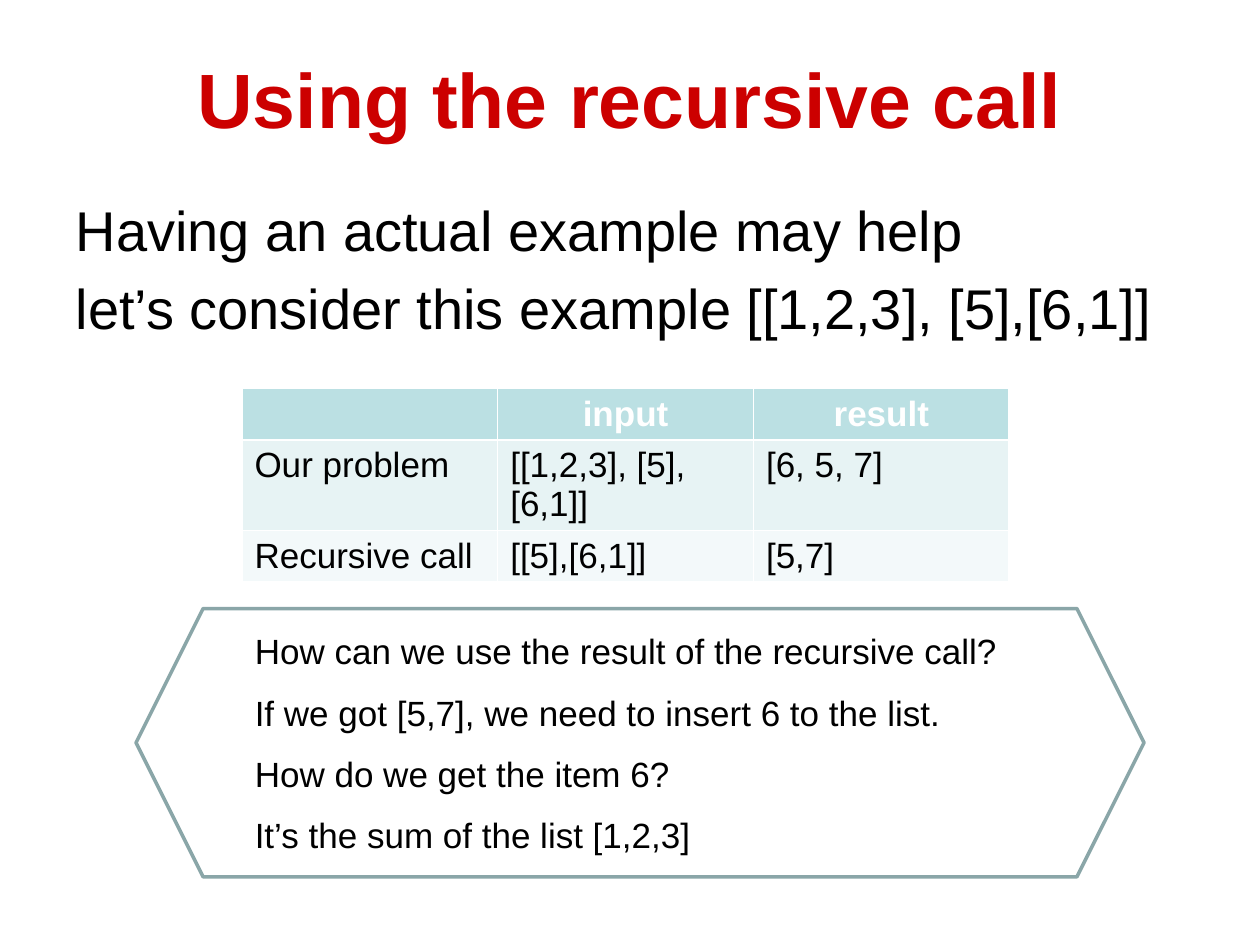
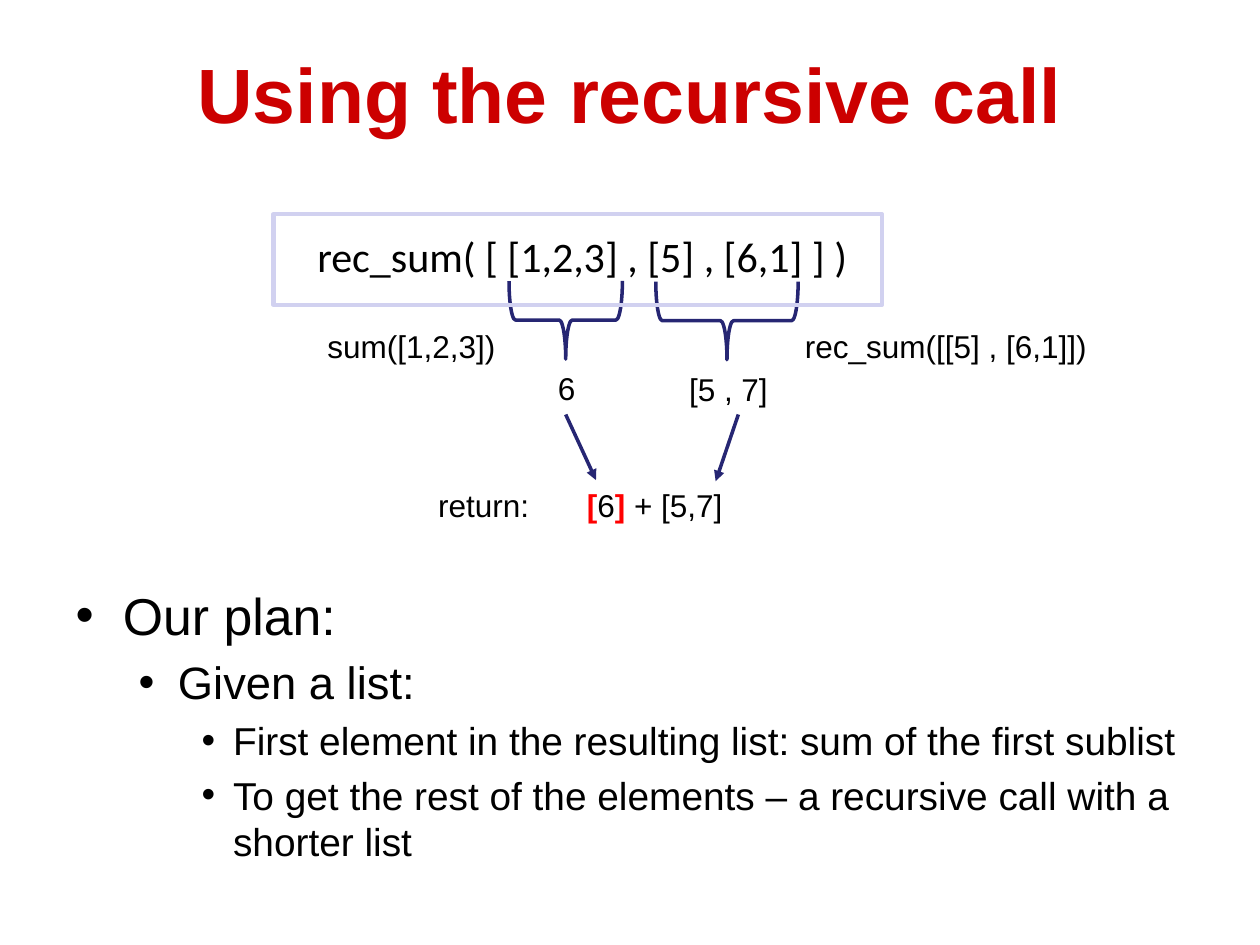
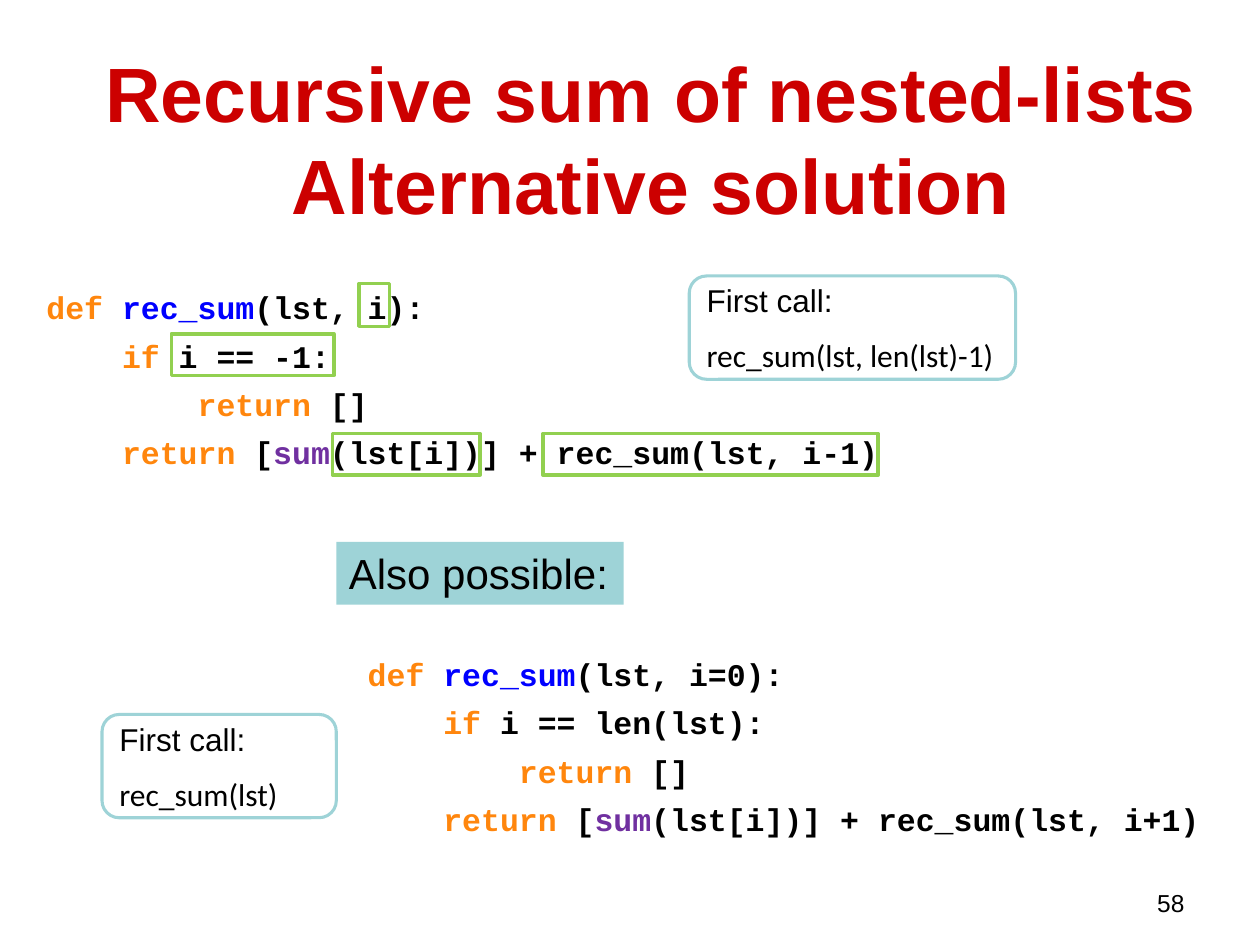
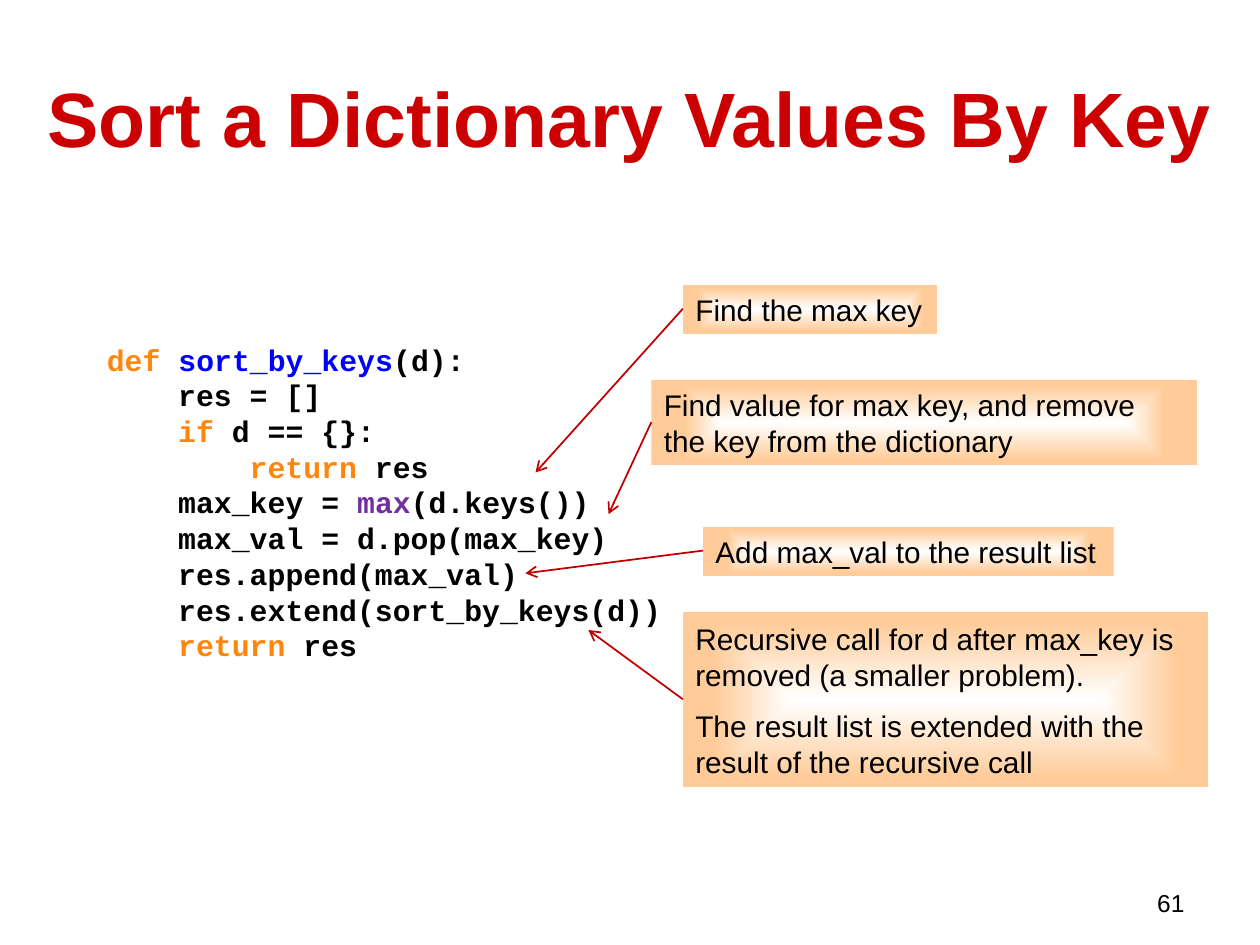
"""Build four slides on recursive list and dictionary functions."""
import lxml.etree
import pptx
import pptx.dml.color
import pptx.enum.shapes
import pptx.enum.text
import pptx.oxml.ns
import pptx.util

Inches, Pt = pptx.util.Inches, pptx.util.Pt
Color = pptx.dml.color.RGBColor.from_string
qualified = pptx.oxml.ns.qn
Preset = pptx.enum.shapes.MSO_SHAPE
Anchor = pptx.enum.text.MSO_ANCHOR
Align = pptx.enum.text.PP_ALIGN

THEME = {
    "title": "CC0000", "text": "000000", "white": "FFFFFF", "header": "BBE0E3",
    "rows": ["E7F3F4", "F3F9FA"], "hexagon": "8AA6A8", "navy": "262673",
    "frame": "D1D1F0", "highlight": "92D050", "teal": "9ED3D7",
    "orange": "FFCC99", "arrow": "C00000",
    "font": "Arial", "call_font": "Calibri", "code_font": "Courier New",
    "title_size": 44, "body_size": 32, "plan_sizes": [29.6, 25.9, 22.2],
    "large": 24, "medium": 20, "label": 18, "note": 17, "number": 14,
    "accents": {
        "def ": "FF860D", "if ": "FF860D", "return": "FF860D",
        "rec_sum": "0000FF", "sort_by_keys": "0000FF",
        "sum": "7030A0", "max": "7030A0", "[": "FF0000", "]": "FF0000",
    },
}


def add_box(slide, preset, bounds, line=None, width=2, fill=None):
    """Add a preset shape, or a text box when preset is None."""
    lengths = [Inches(value) for value in bounds]
    if preset is None:
        return slide.shapes.add_textbox(*lengths)
    shape = slide.shapes.add_shape(preset, *lengths)
    shape.shadow.inherit = False
    if fill:
        shape.fill.solid()
        shape.fill.fore_color.rgb = Color(fill)
    else:
        shape.fill.background()
    if line:
        shape.line.color.rgb = Color(line)
        shape.line.width = Pt(width)
    else:
        shape.line.fill.background()
    return shape


def write_text(frame, lines, size, font=THEME["font"], color=THEME["text"], bold=False,
               align=Align.LEFT, anchor=Anchor.TOP, wrap=True, gap=None):
    """Write lines whose runs are split by bars and whose tabs give the depth."""
    settings = {"word_wrap": wrap, "auto_size": pptx.enum.text.MSO_AUTO_SIZE.NONE,
                "vertical_anchor": anchor}
    for name, value in settings.items():
        setattr(frame, name, value)
    for index, line in enumerate(lines):
        paragraph = frame.add_paragraph() if index else frame.paragraphs[0]
        paragraph.alignment = align
        if index and gap is not None:
            paragraph.space_before = Pt(gap)
        text = line.lstrip("\t")
        depth = len(line) - len(text)
        if depth:
            paragraph._p.get_or_add_pPr().set("marL", str(Pt(depth * 4 * 0.6 * size)))
        for token in text.split("|"):
            run = paragraph.add_run()
            run.text = token
            accent = THEME["accents"].get(token)
            run.font.color.rgb = Color(accent or color)
            values = {"name": font, "size": Pt(size), "bold": bold or accent is not None}
            for name, value in values.items():
                setattr(run.font, name, value)


presentation = pptx.Presentation()
presentation.slide_width, presentation.slide_height = Inches(10), Inches(7.5)

slides = []
for layout, title, bounds in [
    (1, "Using the recursive call", (0.5, 0.3, 9, 0.95)),
    (1, "Using the recursive call", (0.5, 0.3, 9, 0.87)),
    (5, "Recursive sum of nested-lists Alternative solution", (0.67, 0.47, 9, 1.25)),
    (5, "Sort a Dictionary Values By Key", (0.25, 0.3, 9.5, 1.25)),
]:
    slide = presentation.slides.add_slide(presentation.slide_layouts[layout])
    shape = slide.shapes.title
    shape.left, shape.top, shape.width, shape.height = map(Inches, bounds)
    write_text(shape.text_frame, [title], THEME["title_size"], color=THEME["title"],
               bold=True, align=Align.CENTER, anchor=Anchor.MIDDLE)
    slides.append(slide)
example_slide, plan_slide, nested_slide, dictionary_slide = slides

for slide, bounds, lines, size in [
    (example_slide, (0.5, 1.5, 9, 1.3),
     ["Having an actual example may help",
      "let’s consider this example [[1,2,3], [5],[6,1]]"], THEME["body_size"]),
    (plan_slide, (0.5, 4.58, 9, 2.45),
     ["Our plan:", "Given a list:",
      "First element in the resulting list: sum of the first sublist",
      "To get the rest of the elements – a recursive call with a shorter list"],
     THEME["plan_sizes"][0]),
]:
    body = slide.placeholders[1]
    body.left, body.top, body.width, body.height = map(Inches, bounds)
    write_text(body.text_frame, lines, size)

for paragraph in example_slide.placeholders[1].text_frame.paragraphs:
    properties = paragraph._p.get_or_add_pPr()
    properties.set("marL", "0")
    properties.set("indent", "0")
    lxml.etree.SubElement(properties, qualified("a:buNone"))
for paragraph, level in zip(plan_slide.placeholders[1].text_frame.paragraphs, [0, 1, 2, 2]):
    paragraph.level = level
    paragraph.runs[0].font.size = Pt(THEME["plan_sizes"][level])
    bullet = lxml.etree.SubElement(paragraph._p.get_or_add_pPr(), qualified("a:buChar"))
    bullet.set("char", "•")

rows = [["", "input", "result"],
        ["Our problem", "[[1,2,3], [5],[6,1]]", "[6, 5, 7]"],
        ["Recursive call", "[[5],[6,1]]", "[5,7]"]]
table = example_slide.shapes.add_table(
    3, 3, Inches(1.92), Inches(3.08), Inches(6.08), Inches(1.09)).table
for column in table.columns:
    column.width = Inches(2.03)
for row_index, (texts, height) in enumerate(zip(rows, [0.27, 0.41, 0.41])):
    table.rows[row_index].height = Inches(height)
    header = row_index == 0
    for column_index, text in enumerate(texts):
        cell = table.cell(row_index, column_index)
        cell.fill.solid()
        cell.fill.fore_color.rgb = Color(
            THEME["header"] if header else THEME["rows"][row_index - 1])
        if text:
            paragraph = cell.text_frame.paragraphs[0]
            paragraph.alignment = Align.CENTER if header else Align.LEFT
            run = paragraph.add_run()
            run.text = text
            run.font.color.rgb = Color(THEME["white" if header else "text"])
            values = {"name": THEME["font"], "size": Pt(THEME["medium"]), "bold": header}
            for name, value in values.items():
                setattr(run.font, name, value)

hexagon = add_box(example_slide, Preset.HEXAGON, (1.08, 4.83, 8, 2.13), THEME["hexagon"])
write_text(hexagon.text_frame,
           ["How can we use the result of the recursive call?",
            "If we got [5,7], we need to insert 6 to the list.",
            "How do we get the item 6?",
            "It’s the sum of the list [1,2,3]"],
           THEME["medium"], anchor=Anchor.MIDDLE, gap=11)

for bounds in [(5.46, 1.98, 0.62, 1.13), (4.18, 2.09, 0.62, 0.9)]:
    brace = add_box(plan_slide, Preset.LEFT_BRACE, bounds, THEME["navy"])
    brace.rotation = 270
add_box(plan_slide, Preset.RECTANGLE, (2.17, 1.7, 4.83, 0.72), THEME["frame"], 2.5)
call = add_box(plan_slide, None, (2.42, 1.78, 4.5, 0.5))
write_text(call.text_frame, ["rec_sum( [ [1,2,3] , [5] , [6,1] ] )"], THEME["large"],
           font=THEME["call_font"])
for text, left, top, width in [
    ("rec_sum([[5] , [6,1]])", 6.29, 2.55, 2.96),
    ("[5 , 7]", 5.37, 2.89, 0.98),
    ("sum([1,2,3])", 2.5, 2.55, 1.76),
    ("6", 4.33, 2.88, 0.32),
    ("[|6|]| + [5,7]", 4.56, 3.81, 1.43),
    ("return:", 3.38, 3.81, 1.76),
]:
    label = add_box(plan_slide, None, (left, top, width, 0.4))
    write_text(label.text_frame, [text], THEME["label"])

for slide, bounds, lines, size, gap in [
    (nested_slide, (0.27, 2.24, 6.88, 1.57),
     ["def |rec_sum|(lst, i):", "\tif |i == -1:", "\t\treturn| []",
      "\treturn| [|sum|(lst[i])] + rec_sum(lst, i-1)"], THEME["label"], 6),
    (nested_slide, (2.82, 5.15, 6.88, 1.57),
     ["def |rec_sum|(lst, i=0):", "\tif |i == len(lst):", "\t\treturn| []",
      "\treturn| [|sum|(lst[i])] + rec_sum(lst, i+1)"], THEME["label"], 6),
    (dictionary_slide, (0.75, 2.66, 5, 2.68),
     ["def |sort_by_keys|(d):", "\tres = []", "\tif |d == {}:", "\t\treturn| res",
      "\tmax_key = |max|(d.keys())", "\tmax_val = d.pop(max_key)",
      "\tres.append(max_val)", "\tres.extend(sort_by_keys(d))", "\treturn| res"],
     THEME["note"], 0),
]:
    code = add_box(slide, None, bounds)
    write_text(code.text_frame, lines, size, font=THEME["code_font"], bold=True, gap=gap)

for bounds in [(2.85, 2.25, 0.24, 0.34), (4.31, 3.44, 2.66, 0.33),
               (1.36, 2.65, 1.29, 0.33), (2.64, 3.44, 1.17, 0.33)]:
    add_box(nested_slide, Preset.RECTANGLE, bounds, THEME["highlight"])
for text, bounds in [("rec_sum(lst, len(lst)-1)", (5.47, 2.19, 2.59, 0.82)),
                     ("rec_sum(lst)", (0.81, 5.67, 1.86, 0.82))]:
    first_call = add_box(nested_slide, Preset.ROUNDED_RECTANGLE, bounds, THEME["teal"], 1.75)
    write_text(first_call.text_frame, ["First call:", text], THEME["label"],
               anchor=Anchor.MIDDLE, gap=10)
    first_call.text_frame.paragraphs[1].runs[0].font.name = THEME["call_font"]
also = add_box(nested_slide, Preset.RECTANGLE, (2.67, 4.3, 2.28, 0.5), fill=THEME["teal"])
write_text(also.text_frame, ["Also possible:"], THEME["large"], wrap=False)

for slide, number in [(nested_slide, "58"), (dictionary_slide, "61")]:
    footer = add_box(slide, None, (7.17, 7, 2.33, 0.25))
    write_text(footer.text_frame, [number], THEME["number"], align=Align.RIGHT)

for bounds, wrap, lines in [
    ((5.42, 2.26, 2.02, 0.39), False, ["Find the max key"]),
    ((5.17, 3.02, 4.33, 0.67), True,
     ["Find value for max key, and remove the key from the dictionary"]),
    ((5.58, 4.18, 3.26, 0.39), False, ["Add max_val to the result list"]),
    ((5.42, 4.86, 4.17, 1.39), True,
     ["Recursive call for d after max_key is removed (a smaller problem).",
      "The result list is extended with the result of the recursive call"]),
]:
    note = add_box(dictionary_slide, Preset.RECTANGLE, bounds)
    note.fill.gradient()
    for stop, position, name in zip(note.fill.gradient_stops, [0, 0.88], ["white", "orange"]):
        stop.position = position
        stop.color.rgb = Color(THEME[name])
    gradient = note._element.spPr.find(qualified("a:gradFill"))
    gradient.remove(gradient.find(qualified("a:lin")))
    center = lxml.etree.SubElement(gradient, qualified("a:path"), {"path": "rect"})
    lxml.etree.SubElement(center, qualified("a:fillToRect"),
                          {side: "50000" for side in "ltrb"})
    write_text(note.text_frame, lines, THEME["note"], anchor=Anchor.MIDDLE, wrap=wrap, gap=9)

for slide, color, width, head, arrows in [
    (plan_slide, THEME["navy"], 2, "triangle",
     [(5.86, 3.29, 5.68, 3.82), (4.49, 3.29, 4.73, 3.81)]),
    (dictionary_slide, THEME["arrow"], 1, "arrow",
     [(5.42, 2.45, 4.25, 3.75), (5.17, 3.35, 4.83, 4.08),
      (5.58, 4.37, 4.17, 4.55), (5.42, 5.55, 4.67, 5)]),
]:
    for ends in arrows:
        arrow = slide.shapes.add_connector(
            pptx.enum.shapes.MSO_CONNECTOR.STRAIGHT, *map(Inches, ends))
        arrow.line.color.rgb = Color(color)
        arrow.line.width = Pt(width)
        properties = arrow._element.spPr
        lxml.etree.SubElement(properties.find(qualified("a:ln")), qualified("a:tailEnd"),
                              {"type": head})
        lxml.etree.SubElement(properties, qualified("a:effectLst"))

presentation.save("out.pptx")
